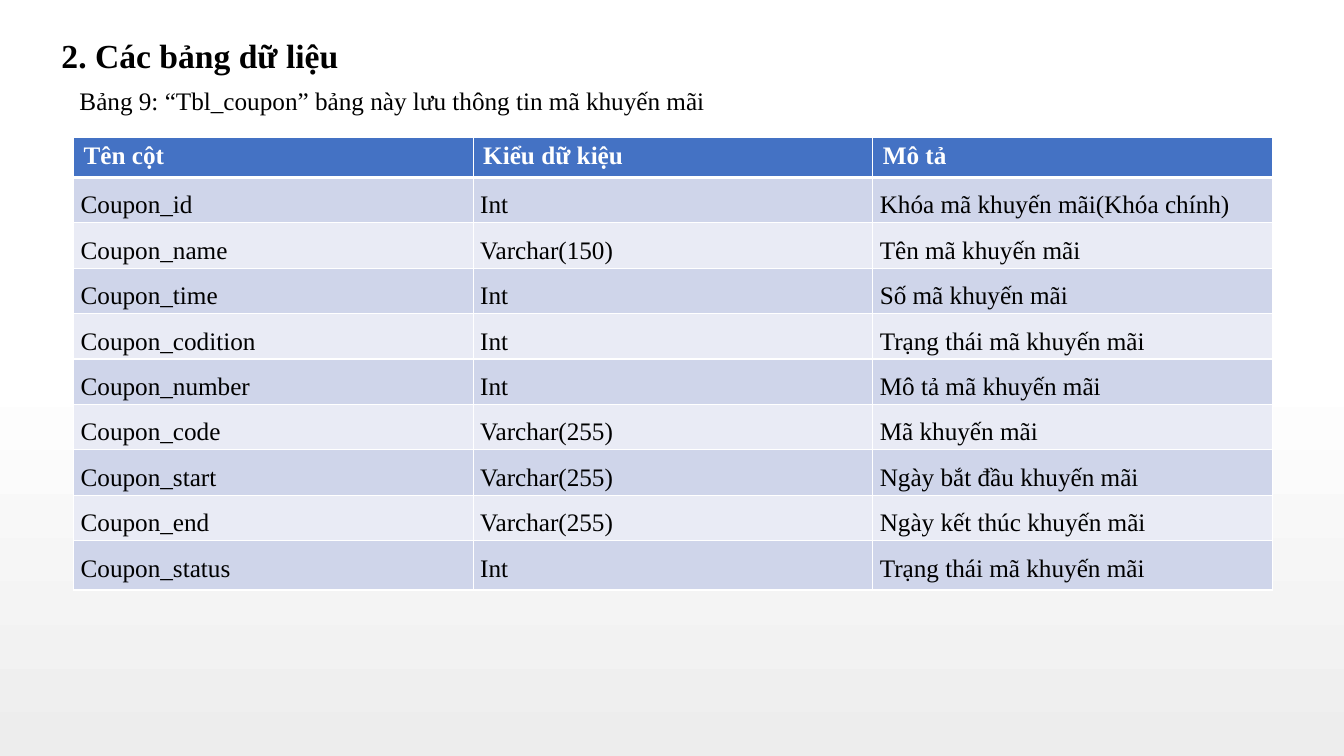
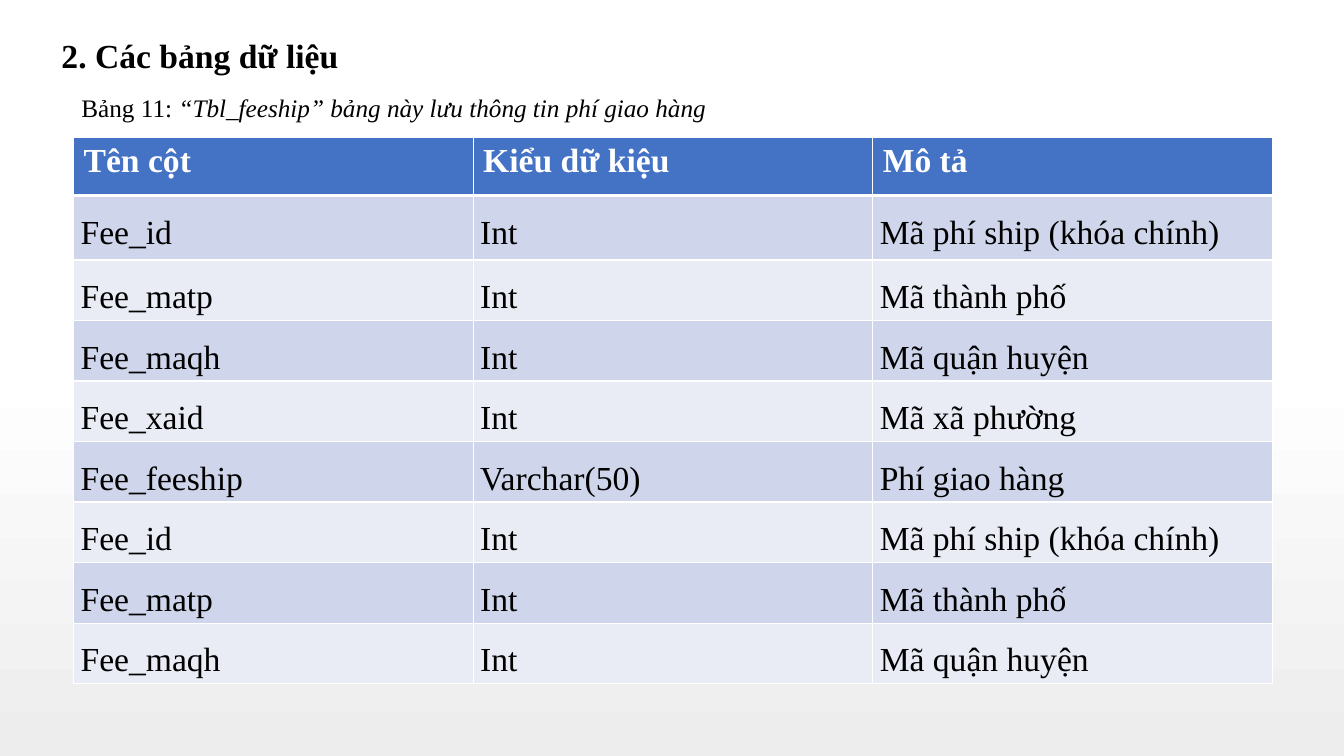
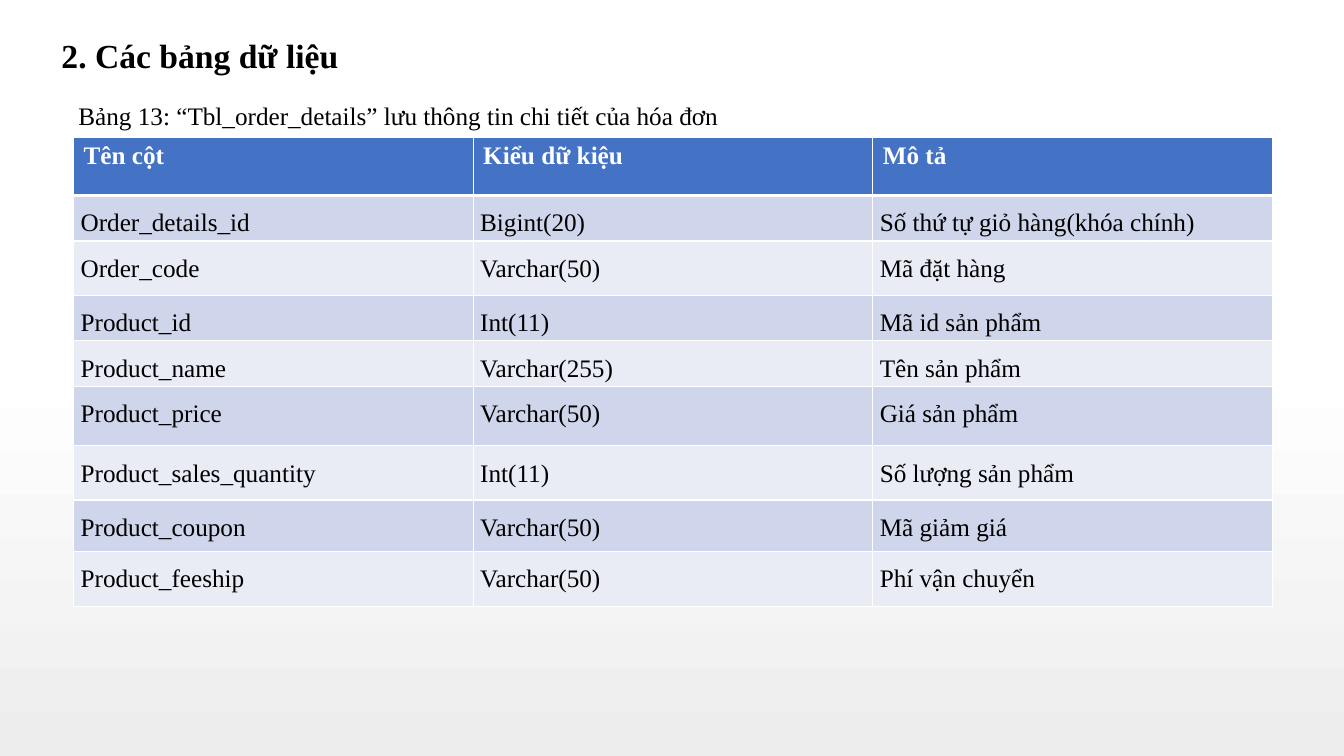
from dataclasses import dataclass

from lxml.etree import SubElement
from pptx import Presentation
from pptx.dml.color import RGBColor
from pptx.enum.text import MSO_ANCHOR as Anchor, MSO_AUTO_SIZE as AutoSize, PP_ALIGN as Align
from pptx.oxml.ns import qn
from pptx.util import Inches, Pt


@dataclass(frozen=True)
class Theme:
    font: str = "Times New Roman"
    text: str = "000000"
    header_text: str = "FFFFFF"
    header_fill: str = "4472C4"
    row_fills: tuple = ("CFD5EA", "E9EBF5")
    border: str = "FFFFFF"
    thin: float = 1
    thick: float = 3
    title_size: int = 24
    caption_size: int = 18
    background: tuple = ((17, "FFFFFF"), (32, "FFFFFF"), (48, "FFFFFF"), (100, "EDEDED"))


THEME = Theme()
TITLE = "2. Các bảng dữ liệu"
TITLE_BOX = (0.51, 0.3, 9.74, 0.5)
TABLE_BOX = (0.73, 1.36, 11.89)
HEADERS = ("Tên cột", "Kiểu dữ kiệu", "Mô tả")

TABLE_SLIDES = (
    {
        "caption": (("Bảng 9: “Tbl_coupon” bảng này lưu thông tin mã khuyến mãi", False),),
        "caption_box": (0.69, 0.8, 10.4, 0.4),
        "size": 18,
        "heights": (0.39, *[0.45] * 8, 0.49),
        "rows": (
            ("Coupon_id", "Int", "Khóa mã khuyến mãi(Khóa chính)"),
            ("Coupon_name", "Varchar(150)", "Tên mã khuyến mãi"),
            ("Coupon_time", "Int", "Số mã khuyến mãi"),
            ("Coupon_codition", "Int", "Trạng thái mã khuyến mãi"),
            ("Coupon_number", "Int", "Mô tả mã khuyến mãi"),
            ("Coupon_code", "Varchar(255)", "Mã khuyến mãi"),
            ("Coupon_start", "Varchar(255)", "Ngày bắt đầu khuyến mãi"),
            ("Coupon_end", "Varchar(255)", "Ngày kết thúc khuyến mãi"),
            ("Coupon_status", "Int", "Trạng thái mã khuyến mãi"),
        ),
    },
    {
        "caption": (
            ("Bảng 11: ", False),
            ("“Tbl_feeship” bảng này lưu thông tin phí giao hàng", True),
        ),
        "caption_box": (0.71, 0.87, 10.4, 0.4),
        "size": 24,
        "heights": (0.58, 0.64, *[0.6] * 7),
        "rows": (
            ("Fee_id", "Int", "Mã phí ship (khóa chính)"),
            ("Fee_matp", "Int", "Mã thành phố"),
            ("Fee_maqh", "Int", "Mã quận huyện"),
            ("Fee_xaid", "Int", "Mã xã phường"),
            ("Fee_feeship", "Varchar(50)", "Phí giao hàng"),
            ("Fee_id", "Int", "Mã phí ship (khóa chính)"),
            ("Fee_matp", "Int", "Mã thành phố"),
            ("Fee_maqh", "Int", "Mã quận huyện"),
        ),
    },
    {
        "caption": (("Bảng 13: “Tbl_order_details” lưu thông tin chi tiết của hóa đơn", False),),
        "caption_box": (0.68, 0.95, 11.97, 0.4),
        "size": 18,
        "heights": (0.58, 0.45, 0.54, 0.45, 0.45, 0.59, 0.54, 0.51, 0.55),
        "rows": (
            ("Order_details_id", "Bigint(20)", "Số thứ tự giỏ hàng(khóa chính)"),
            ("Order_code", "Varchar(50)", "Mã đặt hàng"),
            ("Product_id", "Int(11)", "Mã id sản phẩm"),
            ("Product_name", "Varchar(255)", "Tên sản phẩm"),
            ("Product_price", "Varchar(50)", "Giá sản phẩm"),
            ("Product_sales_quantity", "Int(11)", "Số lượng sản phẩm"),
            ("Product_coupon", "Varchar(50)", "Mã giảm giá"),
            ("Product_feeship", "Varchar(50)", "Phí vận chuyển"),
        ),
    },
)


def style_run(run, size, color=THEME.text, bold=False, italic=False):
    font = run.font
    font.name, font.size = THEME.font, Pt(size)
    font.bold, font.italic = bold, italic
    font.color.rgb = RGBColor.from_string(color)


def set_background(master):
    fill = master.background.fill
    fill.gradient()
    fill.gradient_angle = 270
    stops = next(master.element.iter(qn("a:gsLst")))
    for stop in list(stops):
        stops.remove(stop)
    for position, color in THEME.background:
        stop = SubElement(stops, qn("a:gs"), pos=str(position * 1000))
        SubElement(stop, qn("a:srgbClr"), val=color)


def place_title(slide, box):
    shape = slide.shapes.title
    shape.left, shape.top, shape.width, shape.height = map(Inches, box)
    text_frame = shape.text_frame
    text_frame.text = TITLE
    text_frame.auto_size = AutoSize.SHAPE_TO_FIT_TEXT
    text_frame.vertical_anchor = Anchor.TOP
    paragraph = text_frame.paragraphs[0]
    paragraph.alignment = Align.LEFT
    style_run(paragraph.runs[0], THEME.title_size, bold=True)


def place_caption(slide, box, parts):
    text_frame = slide.shapes.add_textbox(*map(Inches, box)).text_frame
    text_frame.word_wrap = True
    text_frame.auto_size = AutoSize.SHAPE_TO_FIT_TEXT
    for text, italic in parts:
        run = text_frame.paragraphs[0].add_run()
        run.text = text
        style_run(run, THEME.caption_size, italic=italic)


def set_borders(cell, top, bottom):
    properties = cell._tc.get_or_add_tcPr()
    widths = {"a:lnL": THEME.thin, "a:lnR": THEME.thin, "a:lnT": top, "a:lnB": bottom}
    for tag, width in widths.items():
        line = SubElement(properties, qn(tag), w=str(Pt(width)))
        SubElement(SubElement(line, qn("a:solidFill")), qn("a:srgbClr"), val=THEME.border)


def fill_cell(cell, text, row_index, size):
    is_header = row_index == 0
    set_borders(
        cell,
        top=THEME.thick if row_index == 1 else THEME.thin,
        bottom=THEME.thick if is_header else THEME.thin,
    )
    color = THEME.header_fill if is_header else THEME.row_fills[(row_index - 1) % 2]
    cell.fill.solid()
    cell.fill.fore_color.rgb = RGBColor.from_string(color)
    cell.text_frame.text = text
    paragraph = cell.text_frame.paragraphs[0]
    if not is_header:
        cell.margin_left = Inches(0.07)
        cell.margin_right = cell.margin_top = cell.margin_bottom = 0
        paragraph.line_spacing = 1.5
    style_run(
        paragraph.runs[0], size, THEME.header_text if is_header else THEME.text, bold=is_header
    )


def place_table(slide, box, rows, heights, size):
    left, top, width = box
    table = slide.shapes.add_table(
        len(rows), len(HEADERS), Inches(left), Inches(top), Inches(width), Inches(sum(heights))
    ).table
    for row, height in zip(table.rows, heights):
        row.height = Inches(height)
    for row_index, texts in enumerate(rows):
        for column_index, text in enumerate(texts):
            fill_cell(table.cell(row_index, column_index), text, row_index, size)


def add_table_slide(presentation, content):
    slide = presentation.slides.add_slide(presentation.slide_layouts.get_by_name("Title Only"))
    place_title(slide, TITLE_BOX)
    place_caption(slide, content["caption_box"], content["caption"])
    rows = (HEADERS, *content["rows"])
    place_table(slide, TABLE_BOX, rows, content["heights"], content["size"])


def main():
    presentation = Presentation()
    presentation.slide_width, presentation.slide_height = Inches(13.33), Inches(7.5)
    set_background(presentation.slide_master)
    for content in TABLE_SLIDES:
        add_table_slide(presentation, content)
    presentation.save("out.pptx")


if __name__ == "__main__":
    main()
